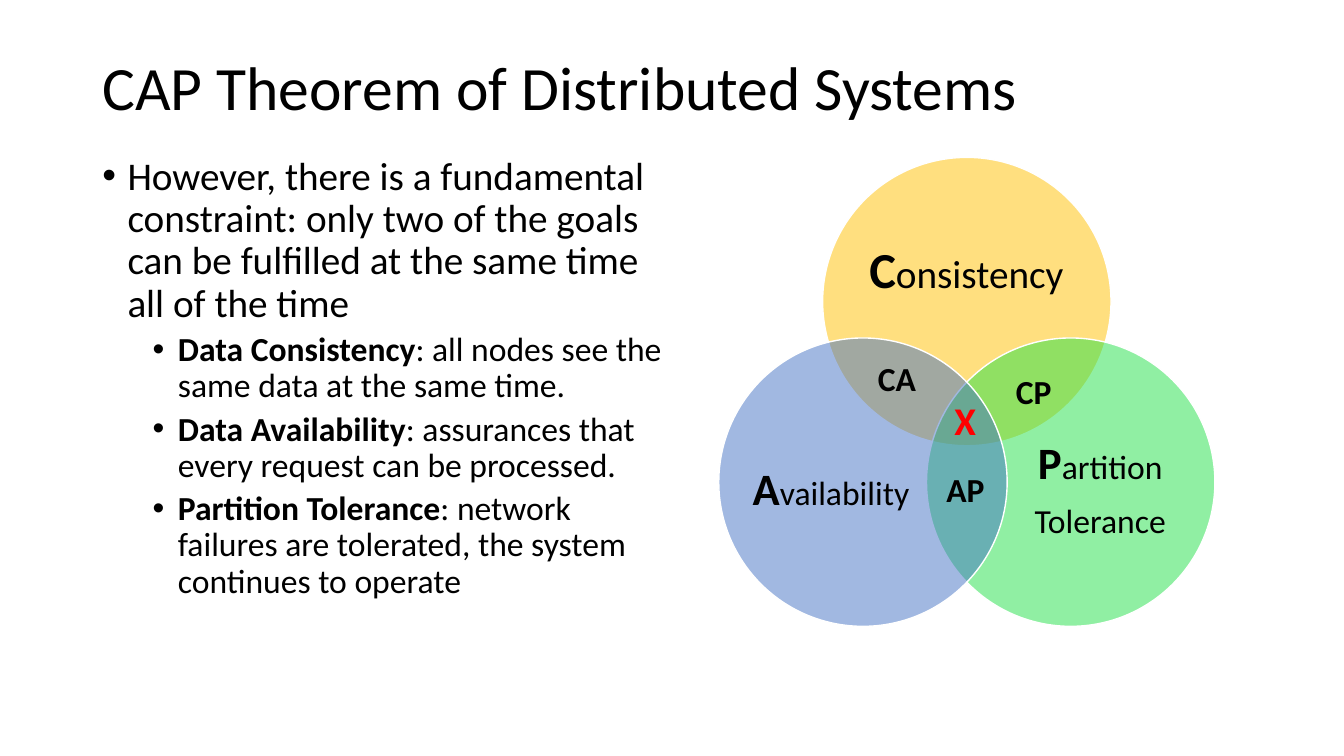
from lxml.etree import SubElement as Sub
from pptx import Presentation
from pptx.dml.color import RGBColor as RGB
from pptx.enum.shapes import MSO_SHAPE as SHAPE
from pptx.enum.text import MSO_ANCHOR as ANCHOR, MSO_AUTO_SIZE as FIT, PP_ALIGN as ALIGN
from pptx.oxml.ns import qn
from pptx.util import Pt

BLACK = RGB(0, 0, 0)
WHITE = RGB(255, 255, 255)
RED = RGB(255, 0, 0)
GOLD = RGB(0xFF, 0xC0, 0x00)
GREEN = RGB(0x23, 0xE1, 0x48)
BLUE = RGB(0x44, 0x72, 0xC4)

TITLE = "CAP Theorem of Distributed Systems"
INTRO = ("However, there is a fundamental constraint: only two of the goals "
         "can be fulfilled at the same time all of the time")
GOALS = [
    ("Data Consistency", ": all nodes see the same data at the same time."),
    ("Data Availability", ": assurances that every request can be processed."),
    ("Partition Tolerance", ": network failures are tolerated, the system continues to operate"),
]
DIAMETER = 206
STEP_X, STEP_Y = 74.2, 129
# colour, grid column and row, text offset and size, lines of (text, size, bold)
CIRCLES = [
    (GOLD, 1, 0, (27.4, 36, 150.5, 92.2), [[("C", 36, True), ("onsistency", 28, False)]]),
    (GREEN, 2, 1, (62.6, 52.6, 123, 113),
     [[("P", 32, True), ("artition", 24, False)], [("Tolerance", 24, False)]]),
    (BLUE, 0, 1, (18.7, 52.6, 123, 113), [[("A", 32, True), ("vailability", 24, False)]]),
]
OVERLAPS = [
    ("X", 28, RED, (161.3, 167, 30.2, 41)),
    ("AP", 24, BLACK, (155.5, 218.9, 41.8, 36)),
    ("CA", 24, BLACK, (106.6, 139.7, 41.8, 36)),
    ("CP", 24, BLACK, (205.2, 149, 40.3, 36)),
]


def apply(obj, values):
    for name, value in values.items():
        setattr(obj, name, value)


def add_run(p, text, size, bold=False, color=BLACK):
    r = p.add_run()
    r.text = text
    apply(r.font, {"name": "Calibri", "size": Pt(size), "bold": bold})
    r.font.color.rgb = color


def add_box(s, x, y, w, h, wrap=True):
    tf = s.shapes.add_textbox(Pt(x), Pt(y), Pt(w), Pt(h)).text_frame
    tf.word_wrap = wrap
    return tf


def add_title(s, x, y, w, h):
    title = s.shapes.title
    apply(title, {"left": Pt(x), "top": Pt(y), "width": Pt(w), "height": Pt(h)})
    tf = title.text_frame
    apply(tf, {"vertical_anchor": ANCHOR.MIDDLE, "auto_size": FIT.NONE, "word_wrap": True})
    p = tf.paragraphs[0]
    apply(p, {"alignment": ALIGN.LEFT, "line_spacing": 0.9})
    add_run(p, TITLE, 44)


def add_bullet(p, indent):
    pPr = p._p.get_or_add_pPr()
    apply_indent = {"marL": Pt(indent), "indent": Pt(-18)}
    for name, value in apply_indent.items():
        pPr.set(name, str(int(value)))
    Sub(pPr, qn("a:buFont")).set("typeface", "Arial")
    Sub(pPr, qn("a:buChar")).set("char", "•")
    p.line_spacing = 0.9


def add_goals(s, x, y, w, h):
    tf = add_box(s, x, y, w, h)
    p = tf.paragraphs[0]
    add_bullet(p, 18)
    add_run(p, INTRO, 28)
    for name, meaning in GOALS:
        p = tf.add_paragraph()
        add_bullet(p, 54)
        apply(p, {"level": 1, "space_before": Pt(5)})
        add_run(p, name, 24, True)
        add_run(p, meaning, 24)


def add_circle(s, x, y, color, area, lines):
    sp = s.shapes.add_shape(SHAPE.OVAL, Pt(x), Pt(y), Pt(DIAMETER), Pt(DIAMETER))
    sp.shadow.inherit = False
    sp.fill.solid()
    sp.fill.fore_color.rgb = color
    clr = sp.fill._xPr.find(qn("a:solidFill"))[0]
    Sub(clr, qn("a:alpha")).set("val", "50000")
    sp.line.color.rgb = WHITE
    sp.line.width = Pt(1)

    dx, dy, w, h = area
    tf = add_box(s, x + dx, y + dy, w, h)
    apply(tf, {"vertical_anchor": ANCHOR.MIDDLE, "margin_left": 0, "margin_right": 0,
               "margin_top": 0, "margin_bottom": 0})
    for i, line in enumerate(lines):
        p = tf.add_paragraph() if i else tf.paragraphs[0]
        apply(p, {"alignment": ALIGN.CENTER, "line_spacing": 0.9})
        if i < len(lines) - 1:
            p.space_after = Pt(11)
        for text, size, bold in line:
            add_run(p, text, size, bold)


def add_venn(s, x, y):
    for color, col, row, area, lines in CIRCLES:
        add_circle(s, x + col * STEP_X, y + row * STEP_Y, color, area, lines)
    for text, size, color, (dx, dy, w, h) in OVERLAPS:
        tf = add_box(s, x + dx, y + dy, w, h, wrap=False)
        tf.auto_size = FIT.SHAPE_TO_FIT_TEXT
        add_run(tf.paragraphs[0], text, size, True, color)


def main():
    prs = Presentation()
    apply(prs, {"slide_width": Pt(960), "slide_height": Pt(540)})
    s = prs.slides.add_slide(prs.slide_layouts[5])
    add_title(s, 66, 17, 828, 96)
    add_goals(s, 66, 108, 414, 378)
    add_venn(s, 513.4, 112.4)
    prs.save("out.pptx")


if __name__ == "__main__":
    main()
